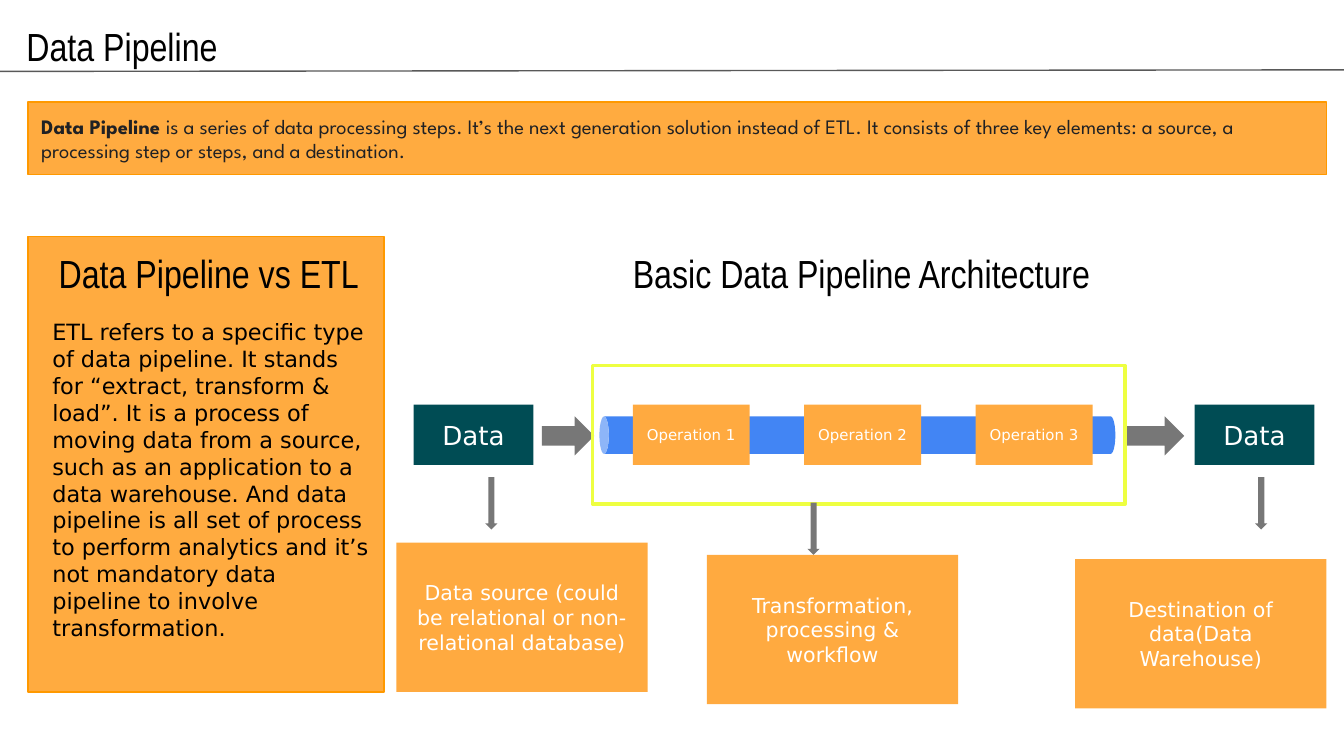
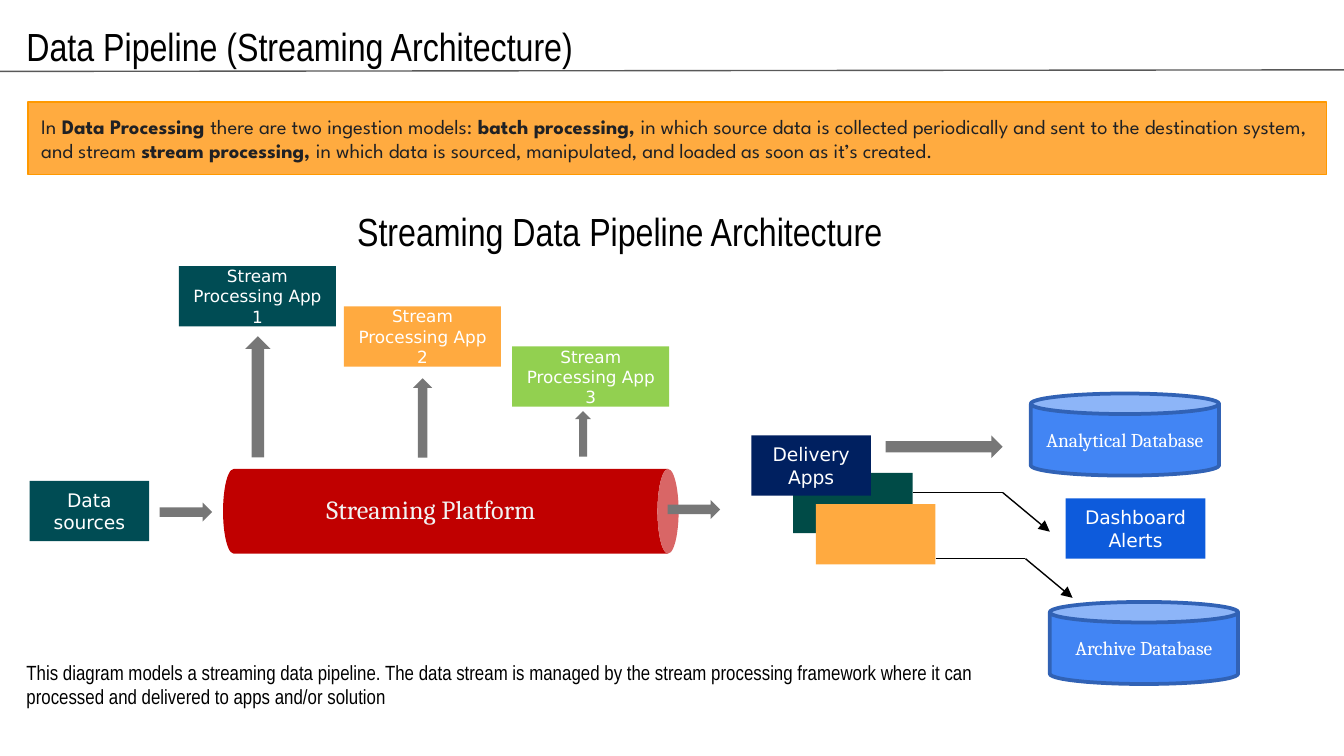
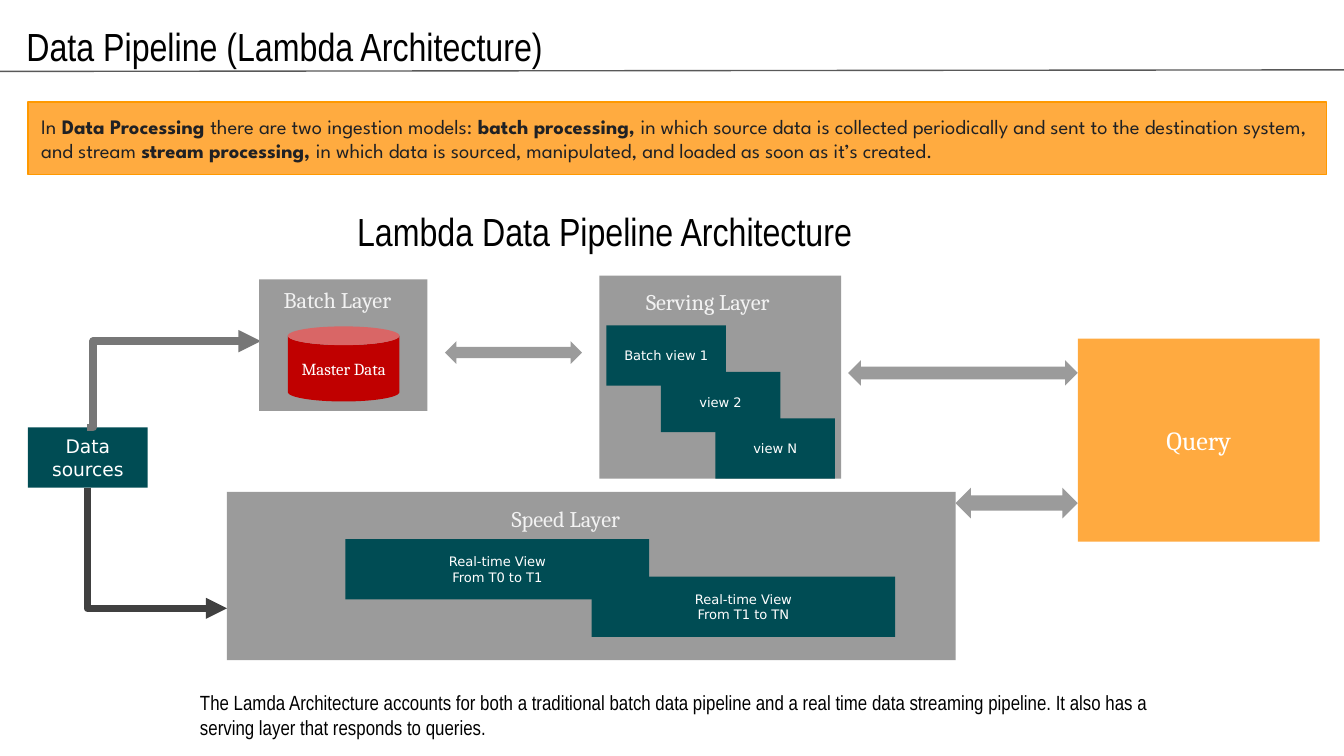
from lxml.etree import SubElement
from pptx import Presentation
from pptx.dml.color import RGBColor
from pptx.enum.shapes import MSO_CONNECTOR, MSO_SHAPE
from pptx.enum.text import MSO_ANCHOR, MSO_AUTO_SIZE, PP_ALIGN
from pptx.oxml.ns import qn
from pptx.util import Cm, Pt

COLORS = {
    "black": "000000", "white": "FFFFFF", "pale": "F2F2F2", "ink": "202124",
    "rule": "595959", "arrow": "777777", "dark": "404040", "layer": "9B9B9B",
    "band": "FFAB40", "band edge": "FF9900", "orange": "FFAA40",
    "teal": "004C54", "deep teal": "004B47", "navy": "002060",
    "blue": "4285F4", "blue edge": "3162B5", "bright blue": "0D5BDC",
    "green": "92D050", "red": "C00000", "yellow": "EEFF41",
}
SANS, NARROW, SERIF, SPARTAN = "DejaVu Sans", "Arial Narrow", "Cambria", "League Spartan"
RECT, CAN = MSO_SHAPE.RECTANGLE, MSO_SHAPE.CAN
ARROW, TWO_WAY = MSO_SHAPE.RIGHT_ARROW, MSO_SHAPE.LEFT_RIGHT_ARROW
STRAIGHT, ELBOW = MSO_CONNECTOR.STRAIGHT, MSO_CONNECTOR.ELBOW
HEADING = {"size": 21, "font": NARROW, "color": "black", "pad": 0.25}
CAPTION = {**HEADING, "size": 11}
LAYER_NAME = {"size": 12, "font": SERIF, "color": "pale"}
BOX = (2.26, 1.14)


def put(slide, kind, at, fill=None, text="", size=10, font=SANS, color="white",
        edge=None, edge_width=0.75, turn=0, pad=0.13, align=PP_ALIGN.CENTER):
    """Add a shape, or a text box if kind is None; ** switches bold on and off."""
    place = [Cm(length) for length in at]
    if kind is None:
        item = slide.shapes.add_textbox(*place)
        align = PP_ALIGN.LEFT
    else:
        item = slide.shapes.add_shape(kind, *place)
        item.shadow.inherit = False
        item.rotation = turn
        if fill:
            item.fill.solid()
            item.fill.fore_color.rgb = RGBColor.from_string(COLORS[fill])
        else:
            item.fill.background()
        if edge:
            item.line.color.rgb = RGBColor.from_string(COLORS[edge])
            item.line.width = Pt(edge_width)
        else:
            item.line.fill.background()
    if not text:
        return
    frame = item.text_frame
    frame.word_wrap = True
    frame.margin_left = frame.margin_right = Cm(0.25)
    frame.margin_top = frame.margin_bottom = Cm(pad)
    frame.vertical_anchor = MSO_ANCHOR.MIDDLE if kind else MSO_ANCHOR.TOP
    if kind is None:
        frame.auto_size = MSO_AUTO_SIZE.SHAPE_TO_FIT_TEXT
    for row, words in enumerate(text.split("\n")):
        paragraph = frame.add_paragraph() if row else frame.paragraphs[0]
        paragraph.alignment = align
        for part, piece in enumerate(words.split("**")):
            if piece:
                run = paragraph.add_run()
                run.text = piece
                run.font.size = Pt(size)
                run.font.name = font
                run.font.bold = part % 2 == 1
                run.font.color.rgb = RGBColor.from_string(COLORS[color])


def connect(slide, start, end, color="black", width=0.75, head=False, kind=STRAIGHT):
    connector = slide.shapes.add_connector(kind, *[Cm(length) for length in start + end])
    connector.line.color.rgb = RGBColor.from_string(COLORS[color])
    connector.line.width = Pt(width)
    properties = connector._element.spPr
    if head:
        SubElement(properties.find(qn("a:ln")), qn("a:tailEnd"), type="triangle")
    SubElement(properties, qn("a:effectLst"))
    return connector


deck = Presentation()
deck.slide_width, deck.slide_height = Cm(25.4), Cm(14.29)

# Title, rule, definition band and diagram heading of every slide
models = ("In** Data Processing **there are two ingestion models: **batch processing, **"
          "in which source data is collected periodically and sent to the destination "
          "system, and stream **stream processing, **in which data is sourced, "
          "manipulated, and loaded as soon as it’s created.")
definition = ("**Data Pipeline **is a series of data processing steps. It’s the next "
              "generation solution instead of ETL. It consists of three key elements: "
              "a source, a processing step or steps, and a destination.")
topics = [
    ("Data Pipeline", definition, "Basic Data Pipeline Architecture", (11.71, 4.47)),
    ("Data Pipeline (Streaming Architecture)", models,
     "Streaming Data Pipeline Architecture", (6.5, 3.66)),
    ("Data Pipeline (Lambda Architecture)", models,
     "Lambda Data Pipeline Architecture", (6.5, 3.66)),
]
slides = []
for title, intro, diagram, corner in topics:
    slide = deck.slides.add_slide(deck.slide_layouts[6])
    put(slide, None, (0.25, 0.18, 12, 1.42), text=title, **HEADING)
    connect(slide, (0, 1.35), (25.5, 1.32), "rule")
    put(slide, RECT, (0.53, 1.93, 24.54, 1.37), "band", intro, 11, SPARTAN, "ink",
        edge="band edge", pad=0.25, align=PP_ALIGN.LEFT)
    put(slide, None, (*corner, 11.56, 1.42), text=diagram, **HEADING)
    slides.append(slide)
basic, streaming, lambda_slide = slides

# Basic pipeline: comparison panel
put(basic, RECT, (0.53, 4.47, 6.73, 8.61), "band", edge="band edge")
put(basic, None, (0.86, 4.47, 6.27, 1.42), text="Data Pipeline vs ETL", **HEADING)
put(basic, None, (0.74, 5.89, 6.53, 6.4), size=12, color="black",
    text="ETL refers to a specific type of data pipeline. It stands for “extract, "
         "transform & load”. It is a process of moving data from a source, such as an "
         "application to a data warehouse. And data pipeline is all set of process to "
         "perform analytics and it’s not mandatory data pipeline to involve "
         "transformation.")

# Basic pipeline: flow from data to data
for left in (7.82, 22.58):
    put(basic, RECT, (left, 7.65, *BOX), "teal", "Data", 14)
for left, length in ((10.24, 0.99), (21.26, 1.12)):
    put(basic, ARROW, (left, 7.87, length, 0.74), "arrow")
put(basic, CAN, (15.85, 3.35, 0.71, 9.75), "blue", turn=270)
for step in range(3):
    put(basic, RECT, (11.96 + 3.24 * step, 7.65, 2.21, 1.14), "orange",
        f"Operation {step + 1}", 8)
put(basic, RECT, (11.2, 6.91, 10.06, 2.62), edge="yellow", edge_width=2)
stages = [
    ("Data source (could be relational or non-relational database)",
     (7.49, 10.26), (8.79, 9.4)),
    ("Transformation, processing & workflow", (13.36, 10.49), (14.88, 9.88)),
    ("Destination of data(Data Warehouse)", (20.32, 10.57), (23.34, 9.4)),
]
for stage, corner, pointer in stages:
    put(basic, ARROW, (*pointer, 0.99, 0.23), "arrow", turn=90)
    put(basic, RECT, (*corner, 4.75, 2.82), "orange", stage, 11)

# Streaming: source, platform and processing apps
put(streaming, RECT, (0.56, 9.09, *BOX), "teal", "Data sources")
put(streaming, CAN, (7.72, 5.36, 1.6, 8.61), "red", turn=90)
put(streaming, None, (5.92, 9.19, 5.11, 0.86), text="Streaming Platform",
    size=14, font=SERIF, color="pale")
for place in ((3.02, 9.5, 0.99, 0.36), (12.62, 9.45, 0.99, 0.36), (16.74, 8.23, 2.21, 0.43)):
    put(streaming, ARROW, place, "arrow")
apps = [
    (3.38, "teal", (3.73, 7.26, 2.29, 0.48)),
    (6.5, "orange", (7.24, 7.72, 1.5, 0.36)),
    (9.68, "green", (10.59, 8.05, 0.86, 0.3)),
]
for number, (left, fill, riser) in enumerate(apps):
    put(streaming, ARROW, riser, "arrow", turn=270)
    put(streaming, RECT, (left, 5.03 + 0.76 * number, 2.97, 1.14), fill,
        f"Stream Processing App {number + 1}", 9)

# Streaming: delivery apps and their destinations
put(streaming, RECT, (14.99, 8.94, *BOX), "deep teal")
put(streaming, RECT, (14.2, 8.23, *BOX), "navy", "Delivery Apps")
put(streaming, RECT, (15.42, 9.53, *BOX), "orange")
for database, corner in (("Analytical Database", (19.48, 7.44)),
                         ("Archive Database", (19.84, 11.38))):
    put(streaming, CAN, (*corner, 3.56, 1.55), "blue", database, 10.5, SERIF,
        edge="blue edge", edge_width=2)
put(streaming, RECT, (20.14, 9.42, 2.64, 1.14), "bright blue", "Dashboard Alerts")
for left, top in ((17.25, 9.31), (17.68, 10.56)):
    bend = (left + 1.7, top)
    connect(streaming, (left, top), bend)
    connect(streaming, bend, (left + 2.59, top + 0.74), head=True)
put(streaming, None, (0.25, 12.22, 19.13, 1.45), **CAPTION,
    text="This diagram models a streaming data pipeline. The data stream is managed by "
         "the stream processing framework where it can processed and delivered to apps "
         "and/or solution")

# Lambda: source feeding the batch and speed layers
put(lambda_slide, RECT, (0.53, 8.08, *BOX), "teal", "Data sources")
to_batch = connect(lambda_slide, (1.65, 8.08), (4.93, 6.45), "arrow", 4, True, ELBOW)
bends = to_batch._element.spPr.find(qn("a:prstGeom")).get_or_add_avLst()
SubElement(bends, qn("a:gd"), name="adj1", fmla="val 3400")
to_speed = connect(lambda_slide, (4.11, 9.04), (1.83, 11.68), "dark", 3.75, True, ELBOW)
to_speed._element.spPr.find(qn("a:prstGeom")).set("prst", "bentConnector2")
to_speed._element.spPr.find(qn("a:xfrm")).set("rot", "16200000")

# Lambda: layers and their views
layers = [
    ("Batch Layer", (4.9, 5.28, 3.18, 2.49), (5.11, 5.28)),
    ("Serving Layer", (11.33, 5.21, 4.57, 3.84), (11.96, 5.31)),
    ("Speed Layer", (4.29, 9.3, 13.77, 3.18), (9.42, 9.42)),
]
for layer, place, corner in layers:
    put(lambda_slide, RECT, place, "layer")
    put(lambda_slide, None, (*corner, 3.51, 0.76), text=layer, **LAYER_NAME)
put(lambda_slide, CAN, (5.44, 6.17, 2.11, 1.42), "red", "Master Data", 9, SERIF)
for step, view in enumerate(("Batch view 1", "view 2", "view N")):
    put(lambda_slide, RECT, (11.46 + 1.03 * step, 6.15 + 0.88 * step, *BOX), "teal", view, 7)
for span, left, top in (("T0 to T1", 6.53, 10.19), ("T1 to TN", 11.18, 10.9)):
    put(lambda_slide, RECT, (left, top, 5.74, 1.14), "teal", f"Real-time View\nFrom {span}", 7)

# Lambda: query exchange
for place in ((8.41, 6.45, 2.59, 0.43), (16.03, 6.81, 4.34, 0.48), (18.06, 9.22, 2.31, 0.58)):
    put(lambda_slide, TWO_WAY, place, "layer")
put(lambda_slide, RECT, (20.37, 6.4, 4.57, 3.84), "orange", "Query", 14, SERIF)
put(lambda_slide, None, (3.53, 12.8, 19.13, 1.45), **CAPTION,
    text="The Lamda Architecture accounts for both a traditional batch data pipeline and "
         "a real time data streaming pipeline. It also has a serving layer that responds "
         "to queries.")

deck.save("out.pptx")
